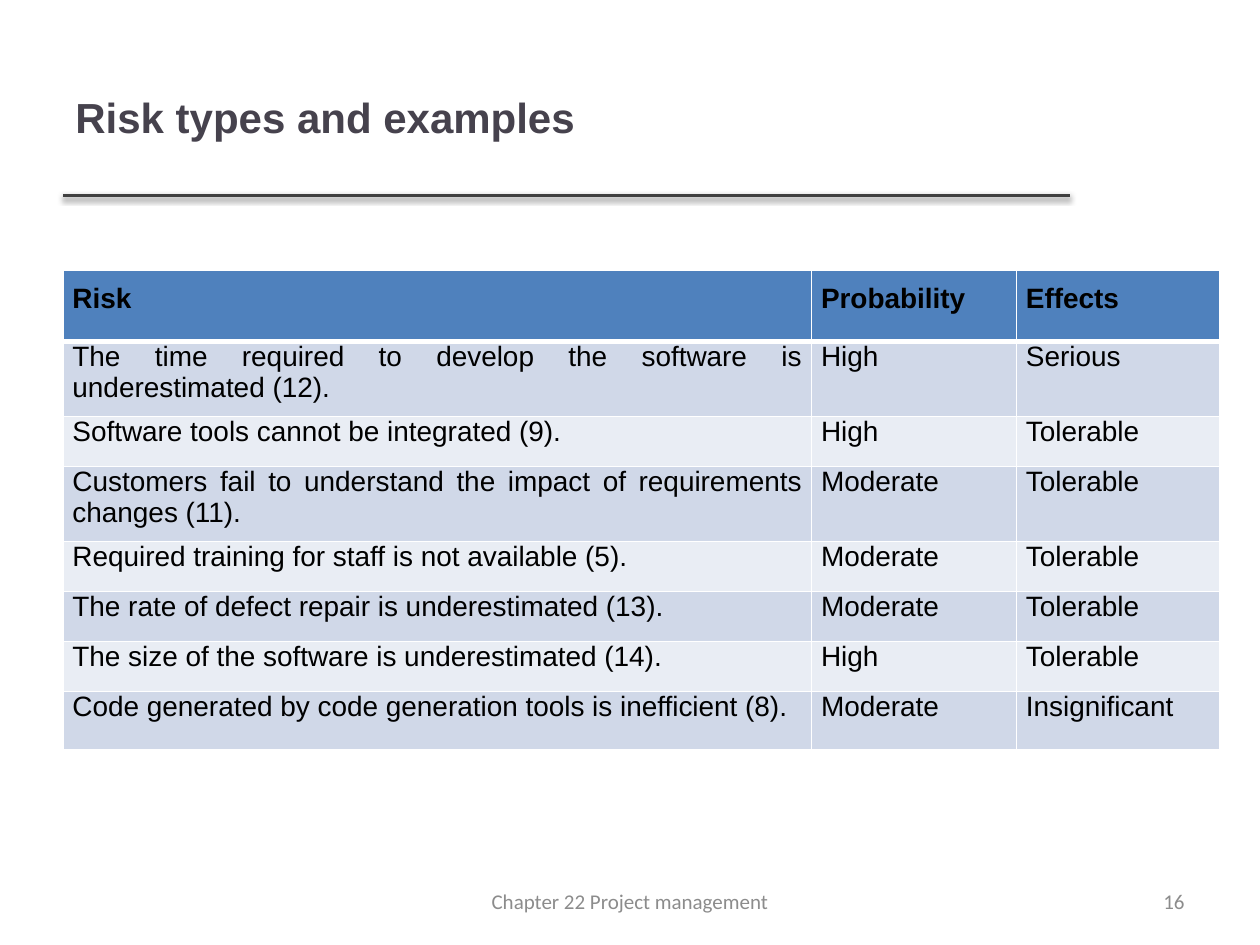
from lxml.etree import SubElement
from pptx import Presentation
from pptx.dml.color import RGBColor
from pptx.enum.shapes import MSO_CONNECTOR
from pptx.enum.text import MSO_ANCHOR, PP_ALIGN
from pptx.oxml import parse_xml
from pptx.oxml.ns import nsdecls, qn
from pptx.util import Pt

BLACK = RGBColor(0x00, 0x00, 0x00)
WHITE = RGBColor(0xFF, 0xFF, 0xFF)
TITLE_COLOR = RGBColor(0x46, 0x42, 0x4D)
FOOTER_COLOR = RGBColor(0x8C, 0x8C, 0x8C)
RULE_COLOR = RGBColor(0x40, 0x40, 0x40)
HEADER_FILL = RGBColor(0x4F, 0x81, 0xBD)
BAND_FILLS = (RGBColor(0xE9, 0xED, 0xF4), RGBColor(0xD0, 0xD8, 0xE8))

RISKS = [
    ("Risk", "Probability", "Effects"),
    ("The time required to develop the software is underestimated (12).", "High", "Serious"),
    ("Software tools cannot be integrated (9).", "High", "Tolerable"),
    ("Customers fail to understand the impact of requirements changes (11).", "Moderate", "Tolerable"),
    ("Required training for staff is not available (5).", "Moderate", "Tolerable"),
    ("The rate of defect repair is underestimated (13).", "Moderate", "Tolerable"),
    ("The size of the software is underestimated (14).", "High", "Tolerable"),
    ("Code generated by code generation tools is inefficient (8).", "Moderate", "Insignificant"),
]
COLUMN_WIDTHS = (427.8, 117.1, 116)
ROW_HEIGHTS = (40.8, 33.6, 28.6, 33.6, 28.6, 28.6, 28.6, 33.6)
TABLE_LEFT, TABLE_TOP = 36, 154.4

TEXTS = [
    ("Risk types and examples", (36, 21.6, 574.8, 90), "Arial", 24, True, TITLE_COLOR, PP_ALIGN.LEFT),
    ("16", (516, 500.5, 168, 28.75), "Calibri", 12, False, FOOTER_COLOR, PP_ALIGN.RIGHT),
    ("Chapter 22 Project management", (246, 500.5, 228, 28.75), "Calibri", 12, False, FOOTER_COLOR,
     PP_ALIGN.CENTER),
]


def add_run(paragraph, text, font_name, size, bold, color, alignment):
    paragraph.alignment = alignment
    run = paragraph.add_run()
    run.text = text
    run.font.name = font_name
    run.font.size = Pt(size)
    run.font.bold = bold
    run.font.color.rgb = color


def add_text(slide, text, box, *style):
    shape = slide.shapes.add_textbox(*(Pt(length) for length in box))
    frame = shape.text_frame
    frame.word_wrap = True
    frame.vertical_anchor = MSO_ANCHOR.MIDDLE
    add_run(frame.paragraphs[0], text, *style)


def add_rule(slide):
    rule = slide.shapes.add_connector(MSO_CONNECTOR.STRAIGHT, Pt(36), Pt(111.6), Pt(611.3), Pt(111.6))
    rule.line.color.rgb = RULE_COLOR
    rule.line.width = Pt(2)
    effects = SubElement(rule._element.spPr, qn("a:effectLst"))
    shadow = SubElement(effects, qn("a:outerShdw"), blurRad=str(Pt(3.1)), dist=str(Pt(1.6)),
                        dir="5400000", rotWithShape="0")
    color = SubElement(shadow, qn("a:srgbClr"), val=str(BLACK))
    SubElement(color, qn("a:alpha"), val="38000")


def set_borders(cell, row_index):
    widths = {"lnL": 1, "lnR": 1, "lnT": 3 if row_index == 1 else 1, "lnB": 3 if row_index == 0 else 1}
    properties = cell._tc.get_or_add_tcPr()
    for position, (side, width) in enumerate(widths.items()):
        properties.insert(position, parse_xml(
            f'<a:{side} {nsdecls("a")} w="{Pt(width)}"><a:solidFill>'
            f'<a:srgbClr val="{WHITE}"/></a:solidFill></a:{side}>'))


def add_risk_table(slide):
    table = slide.shapes.add_table(
        len(RISKS), len(COLUMN_WIDTHS), Pt(TABLE_LEFT), Pt(TABLE_TOP),
        Pt(sum(COLUMN_WIDTHS)), Pt(sum(ROW_HEIGHTS))).table
    for column, width in zip(table.columns, COLUMN_WIDTHS):
        column.width = Pt(width)
    for row_index, (row, height, values) in enumerate(zip(table.rows, ROW_HEIGHTS, RISKS)):
        row.height = Pt(height)
        is_header = row_index == 0
        for cell, value in zip(row.cells, values):
            cell.margin_left = cell.margin_right = Pt(5.4)
            cell.margin_top = Pt(7.2 if is_header else 0)
            cell.margin_bottom = Pt(7.2)
            cell.fill.solid()
            cell.fill.fore_color.rgb = HEADER_FILL if is_header else BAND_FILLS[row_index % 2]
            set_borders(cell, row_index)
            add_run(cell.text_frame.paragraphs[0], value, "Arial", 16, is_header, BLACK, PP_ALIGN.JUSTIFY)


def main():
    presentation = Presentation()
    presentation.slide_width = Pt(720)
    presentation.slide_height = Pt(540)
    slide = presentation.slides.add_slide(presentation.slide_layouts[6])
    add_rule(slide)
    add_risk_table(slide)
    for text in TEXTS:
        add_text(slide, *text)
    presentation.save("out.pptx")


if __name__ == "__main__":
    main()
